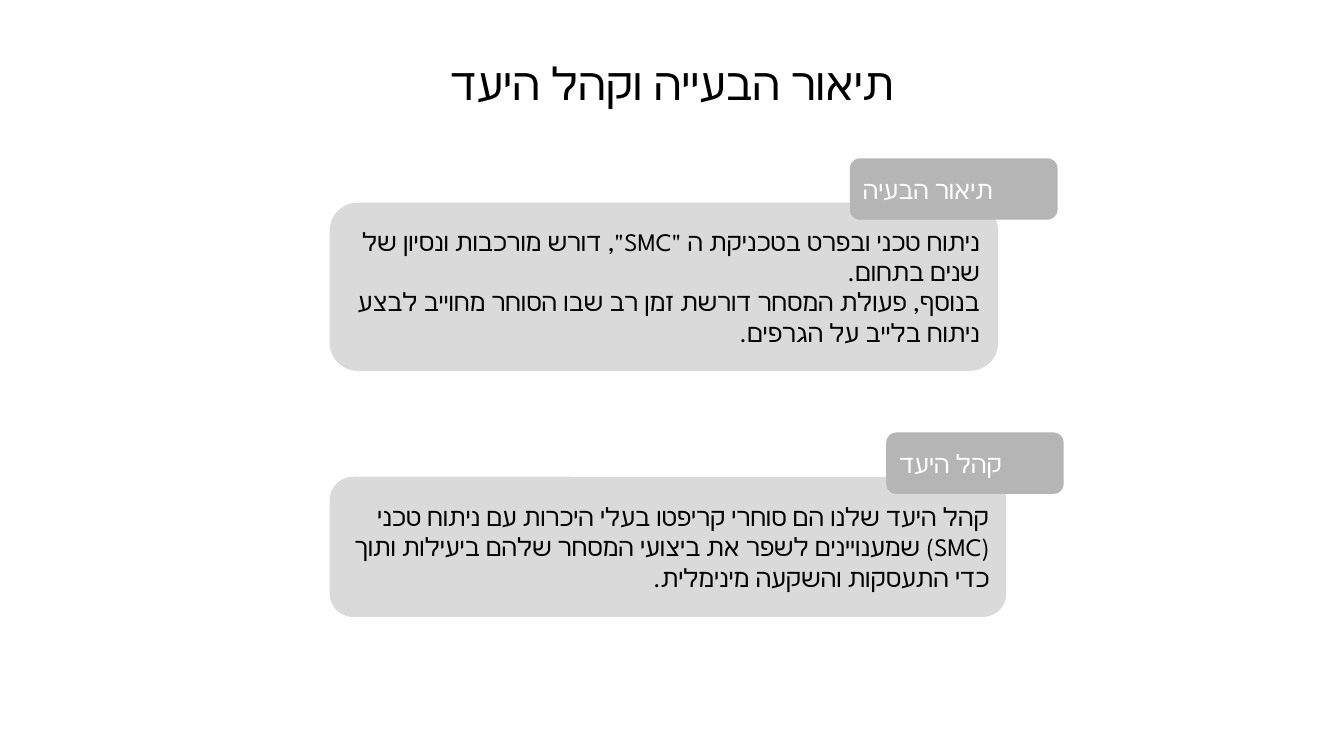
from dataclasses import dataclass

from lxml.etree import SubElement
from pptx import Presentation
from pptx.dml.color import RGBColor
from pptx.enum.shapes import MSO_SHAPE
from pptx.enum.text import MSO_ANCHOR, MSO_AUTO_SIZE, PP_ALIGN
from pptx.oxml.ns import qn
from pptx.util import Inches, Pt


@dataclass(frozen=True)
class Theme:
    font: str = "League Spartan"
    ink: str = "000000"
    light: str = "FFFFFF"
    panel: str = "DADADA"
    tab: str = "B5B5B5"
    title: int = 32
    body: int = 18


def write(frame, text, font, size, color, align):
    frame.word_wrap = True
    frame.auto_size = MSO_AUTO_SIZE.NONE
    frame.vertical_anchor = MSO_ANCHOR.MIDDLE
    frame.text = text
    for para in frame.paragraphs:
        para.alignment = align
        para._p.get_or_add_pPr().set("rtl", "1")
        for run in para.runs:
            run.font.name = font
            run.font.size = Pt(size)
            run.font.color.rgb = RGBColor.from_string(color)
            props = run._r.get_or_add_rPr()
            SubElement(props, qn("a:cs"), typeface=font)


class Builder:
    def __init__(self, slide, theme):
        self.slide = slide
        self.theme = theme

    def title(self, text, box):
        shape = self.slide.shapes.title
        shape.left, shape.top, shape.width, shape.height = map(Inches, box)
        write(shape.text_frame, text, font=self.theme.font,
              size=self.theme.title, color=self.theme.ink,
              align=PP_ALIGN.CENTER)

    def card(self, text, box, fill, color, align):
        shape = self.slide.shapes.add_shape(
            MSO_SHAPE.ROUNDED_RECTANGLE, *map(Inches, box))
        shape.shadow.inherit = False
        shape.fill.solid()
        shape.fill.fore_color.rgb = RGBColor.from_string(fill)
        shape.line.fill.background()
        write(shape.text_frame, text, font=self.theme.font,
              size=self.theme.body, color=color, align=align)

    def section(self, head, text, top, width, height, left, span):
        look = self.theme
        self.card(text, (3.27, top, width, height), fill=look.panel,
                  color=look.ink, align=PP_ALIGN.RIGHT)
        self.card(head, (left, top - 0.44, span, 0.61), fill=look.tab,
                  color=look.light, align=PP_ALIGN.LEFT)


def main():
    deck = Presentation()
    deck.slide_width = Inches(13.33)
    deck.slide_height = Inches(7.5)
    slide = deck.slides.add_slide(deck.slide_layouts[5])
    page = Builder(slide, Theme())
    page.title("תיאור הבעייה וקהל היעד", (0, 0.5, 13.33, 0.64))
    page.section(
        "תיאור הבעיה",
        'ניתוח טכני ובפרט בטכניקת ה "SMC", דורש מורכבות ונסיון של שנים בתחום.\n'
        "בנוסף, פעולת המסחר דורשת זמן רב שבו הסוחר מחוייב לבצע ניתוח בלייב על הגרפים.",
        top=2.01, width=6.63, height=1.67, left=8.43, span=2.06)
    page.section(
        "קהל היעד",
        "קהל היעד שלנו הם סוחרי קריפטו בעלי היכרות עם ניתוח טכני (SMC) "
        "שמענויינים לשפר את ביצועי המסחר שלהם ביעילות ותוך כדי "
        "התעסקות והשקעה מינימלית.",
        top=4.73, width=6.71, height=1.39, left=8.79, span=1.76)
    deck.save("out.pptx")


if __name__ == "__main__":
    main()
